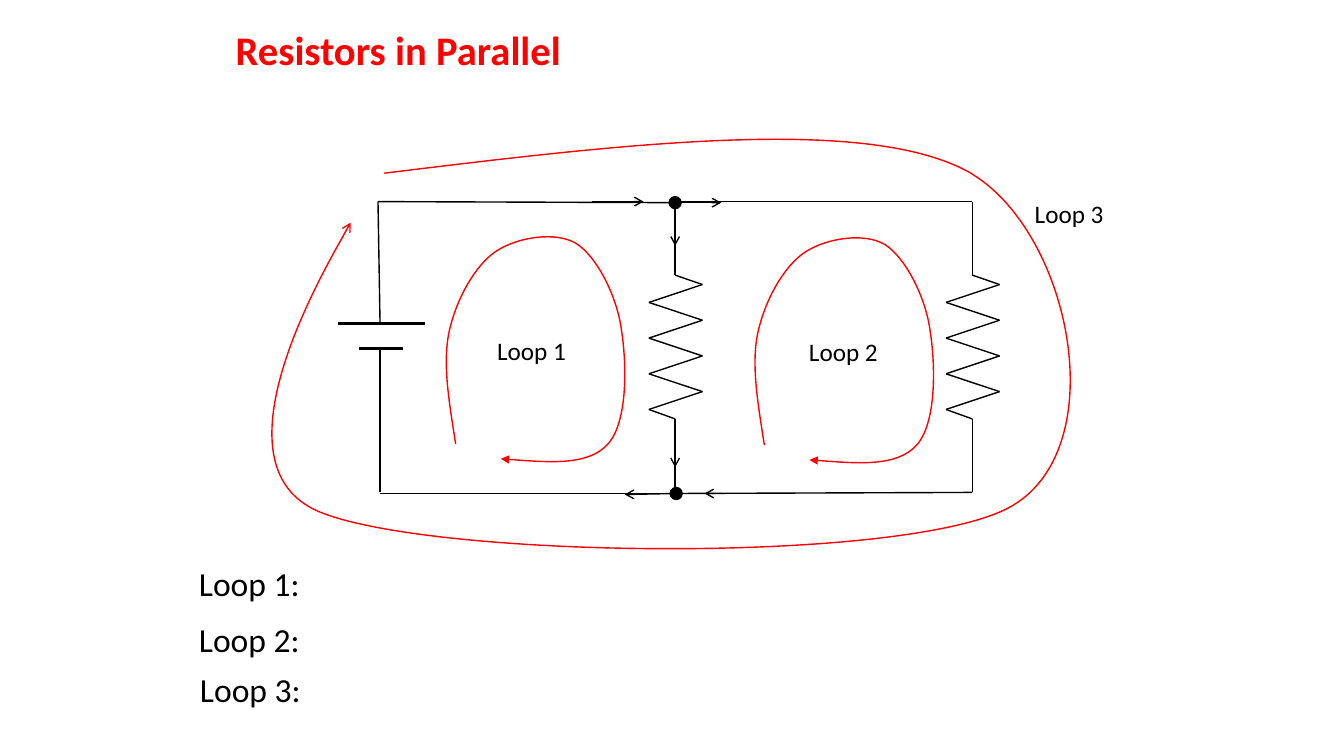
from itertools import pairwise

from lxml import etree
from pptx import Presentation
from pptx import util as u
from pptx.dml.color import RGBColor
from pptx.enum import shapes, text
from pptx.oxml.ns import qn

PX = 9525
BLACK, RED = "000000", "FF0000"


def rgb(code):
    return RGBColor.from_string(code)


def px(*nums):
    return [u.Emu(n * PX) for n in nums]


class Board:
    """Holds the slide and its font, and draws each kind of element."""

    def __init__(self, slide, font):
        self.slide = slide
        self.shapes = slide.shapes
        self.font = font

    def pen(self, item, color, width, tip=None):
        item.line.color.rgb = rgb(color)
        item.line.width = u.Pt(width)
        if tip:
            etree.SubElement(item.line._get_or_add_ln(), qn("a:tailEnd"), type=tip)

    def line(self, start, end, width=1, tip=None, group=None):
        home = group.shapes if group else self.shapes
        wire = home.add_connector(shapes.MSO_CONNECTOR.STRAIGHT, *px(*start, *end))
        self.pen(wire, BLACK, width, tip)
        etree.SubElement(wire._element.spPr, qn("a:effectLst"))

    def chain(self, points):
        """Join the points by grouped straight lines."""
        group = self.shapes.add_group_shape()
        for start, end in pairwise(points):
            self.line(start, end, group=group)

    def dot(self, left, top, size=12):
        node = self.shapes.add_shape(shapes.MSO_SHAPE.OVAL, *px(left, top, size, size))
        node.shadow.inherit = False
        node.fill.solid()
        node.fill.fore_color.rgb = rgb(BLACK)
        self.pen(node, BLACK, 0.5)

    def curve(self, box, points, tip, shift=(0, 0)):
        """Draw Bezier arcs: a start point, then three points for each arc."""
        left, top, width, height = box
        dx, dy = shift
        form = self.shapes.build_freeform(left + dx, top + dy, scale=PX)
        form.add_line_segments([(left + dx + width, top + dy + height)], close=False)
        loop = form.convert_to_shape()
        loop.shadow.inherit = False
        loop.fill.background()
        self.pen(loop, RED, 1, tip)

        track = next(loop._element.iter(qn("a:path")))
        for old in list(track):
            track.remove(old)
        for i, (x, y) in enumerate(points):
            if i == 0:
                arc = etree.SubElement(track, qn("a:moveTo"))
            elif i % 3 == 1:
                arc = etree.SubElement(track, qn("a:cubicBezTo"))
            etree.SubElement(arc, qn("a:pt"), x=str(x - left), y=str(y - top))

    def text(self, box, words, size, color=BLACK, bold=False, wrap=False):
        frame = self.shapes.add_textbox(*px(*box)).text_frame
        frame.word_wrap = wrap
        if not wrap:
            frame.auto_size = text.MSO_AUTO_SIZE.SHAPE_TO_FIT_TEXT
        run = frame.paragraphs[0].add_run()
        run.text = words
        run.font.name = self.font
        run.font.size = u.Pt(size)
        run.font.bold = bold
        run.font.color.rgb = rgb(color)
        return frame


def circuit(board):
    top, low, mid, right = 192, 469, 643, 926

    for x in (mid, right):
        bends = [(x + (26 if i % 2 == 0 else -25), 271 + 17 * i) for i in range(8)]
        board.chain([(x, 262), *bends, (x, 399)])
        board.line((x, top), (x, 262))
        board.line((x, 399), (x, low))

    wires = [
        ((362, 309), (360, top)),
        ((362, low), (362, 333)),
        ((637, 193), (360, top)),
        ((649, 470), (362, 470)),
        ((right, top), (mid, top)),
        ((right, low), (645, 470)),
    ]
    for start, end in wires:
        board.line(start, end)

    cell = board.shapes.add_group_shape()
    board.line((322, 308), (405, 308), 2.25, group=cell)
    board.line((342, 332), (384, 332), 2.25, group=cell)

    flows = [
        ((564, top), (613, top)),
        ((649, 193), (687, 193)),
        ((mid, 193), (mid, 234)),
        ((mid, 404), (mid, 445)),
        ((709, 470), (671, 470)),
        ((644, 470), (595, 471)),
    ]
    for start, end in flows:
        board.line(start, end, tip="arrow")

    board.dot(637, 187)
    board.dot(638, 464)


def loops(board):
    inner = [
        (434, 423),
        (428, 384), (421, 346), (428, 315),
        (435, 284), (453, 252), (473, 239),
        (493, 226), (529, 220), (549, 232),
        (569, 245), (588, 283), (592, 315),
        (597, 347), (598, 402), (579, 423),
        (560, 444), (518, 440), (477, 437),
    ]
    outer = [
        (366, 165),
        (594, 137), (822, 110), (921, 163),
        (1020, 217), (1063, 430), (960, 484),
        (856, 538), (408, 532), (303, 487),
        (199, 442), (334, 212), (334, 212),
    ]
    for shift in ((0, 0), (294, 1)):
        board.curve((425, 225, 170, 214), inner, "triangle", shift)
    board.curve((264, 133, 756, 389), outer, "arrow")


def labels(board):
    title = board.text((215, 21, 845, 57), "Resistors in Parallel", 29, RED, True, True)
    title.vertical_anchor = text.MSO_ANCHOR.MIDDLE
    title.paragraphs[0].line_spacing = 0.9

    rows = [(180, 531), (180, 585), (181, 632)]
    tags = [(464, 315), (761, 316), (976, 184)]
    for num, (row, tag) in enumerate(zip(rows, tags), 1):
        board.text((*row, 116, 48), f"Loop {num}:", 24)
        board.text((*tag, 85, 38), f"Loop {num}", 18)


def main():
    deck = Presentation()
    deck.slide_width, deck.slide_height = px(1280, 720)
    board = Board(deck.slides.add_slide(deck.slide_layouts[6]), "Calibri")
    circuit(board)
    loops(board)
    labels(board)
    deck.save("out.pptx")


if __name__ == "__main__":
    main()
